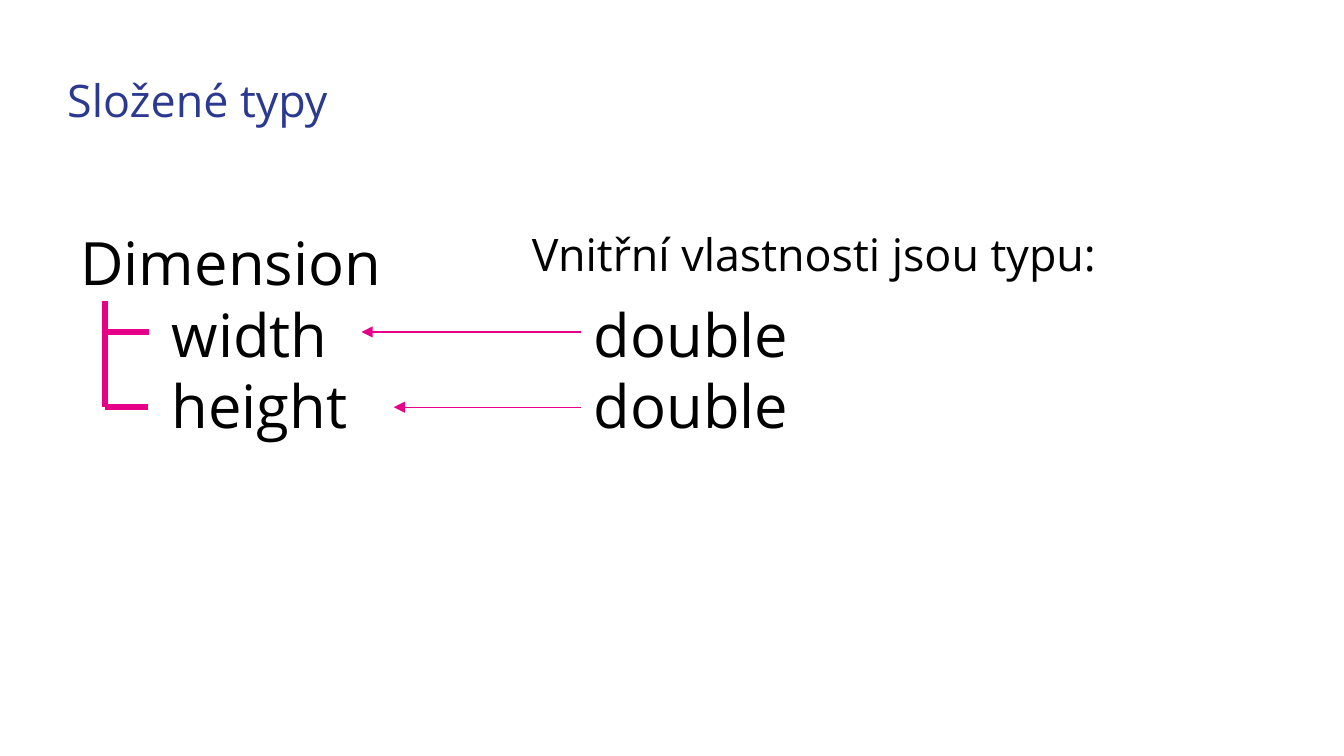
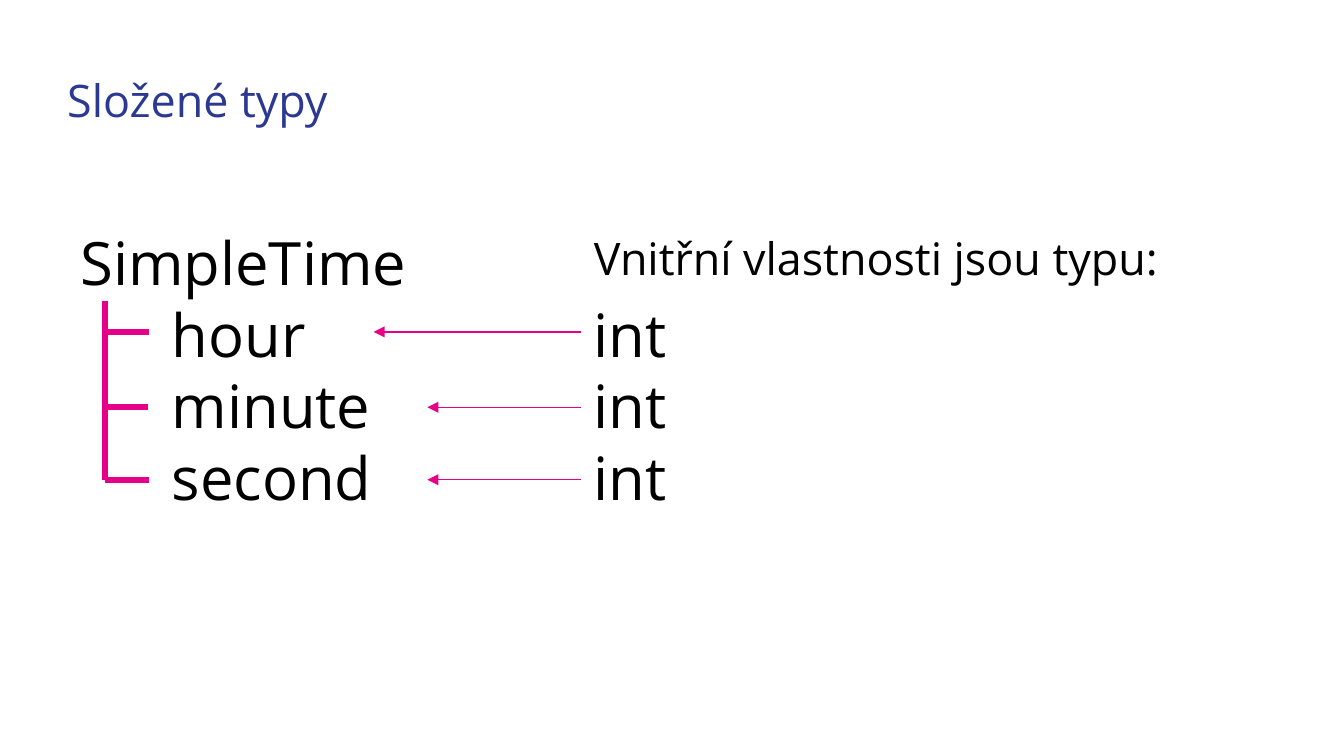
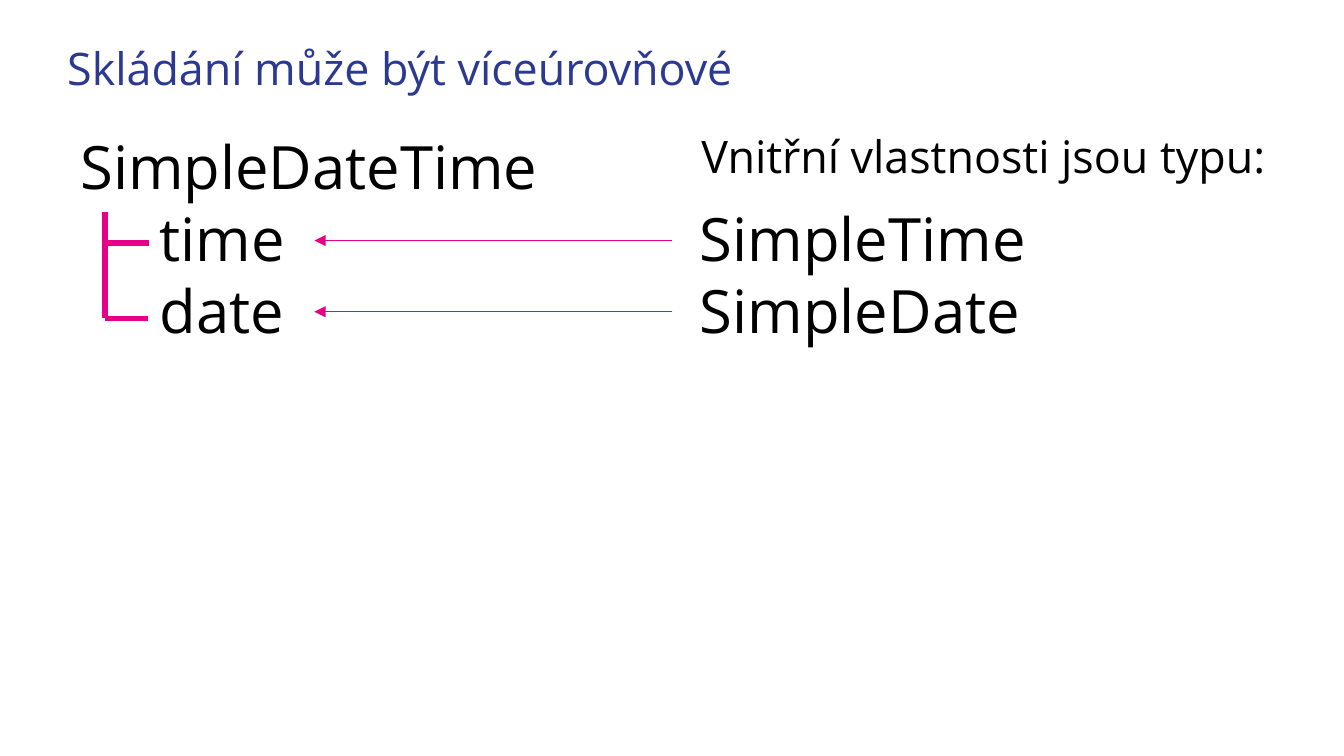
"""Build three slides that explain composite types and their inner properties."""
from lxml import etree
from pptx import Presentation
from pptx.dml.color import RGBColor
from pptx.enum.shapes import MSO_CONNECTOR
from pptx.enum.text import MSO_ANCHOR, MSO_AUTO_SIZE, PP_ALIGN
from pptx.oxml.ns import qn
from pptx.util import Inches, Pt

STRAIGHT = MSO_CONNECTOR.STRAIGHT
TOP = MSO_ANCHOR.TOP
NO_FIT = MSO_AUTO_SIZE.NONE
LEFT = PP_ALIGN.LEFT

FONT = "Open Sans"
BLUE, BLACK, PINK = "2B3990", "000000", "E60088"
CAPTION = "Vnitřní vlastnosti jsou typu:"
TRUNK_LEFT = 0.78
BRANCHES = [(0.23, 1.11), (0.79, 1.1), (1.33, 1.11)]

SLIDES = [
    {
        "title": "Složené typy", "title_top": 0.48,
        "type": "Dimension",
        "properties": [("width", "double"), ("height", "double")],
        "body": (0.5, 1.63, 6.2, 2.36), "tabs": (0.68, 3.82),
        "caption": (3.86, 1.64), "trunk_top": 2.24,
        "arrow_start": 4.32, "arrow_tips": [(2.69, 2.47), (2.93, 3.03)],
    },
    {
        "title": "Složené typy", "title_top": 0.48,
        "type": "SimpleTime",
        "properties": [("hour", "int"), ("minute", "int"), ("second", "int")],
        "body": (0.5, 1.63, 4.69, 2.36), "tabs": (0.68, 3.82),
        "caption": (4.32, 1.67), "trunk_top": 2.24,
        "arrow_start": 4.32,
        "arrow_tips": [(2.78, 2.47), (3.18, 3.03), (3.18, 3.57)],
    },
    {
        "title": "Skládání může být víceúrovňové", "title_top": 0.24,
        "type": "SimpleDateTime",
        "properties": [("time", "SimpleTime"), ("date", "SimpleDate")],
        "body": (0.5, 0.92, 7.5, 4.17), "tabs": (0.59, 4.61),
        "caption": (5.12, 0.91), "trunk_top": 1.58,
        "arrow_start": 5, "arrow_tips": [(2.34, 1.79), (2.34, 2.32)],
    },
]


def write_lines(box, lines, size, color, tabs=()):
    """Fill a text box with left-aligned paragraphs, one per line."""
    frame = box.text_frame
    frame.word_wrap = True
    frame.auto_size = NO_FIT
    frame.vertical_anchor = TOP
    for number, line in enumerate(lines):
        para = frame.add_paragraph() if number else frame.paragraphs[0]
        para.alignment = LEFT
        if tabs:
            stops = etree.SubElement(para._p.get_or_add_pPr(), qn("a:tabLst"))
            for tab in tabs:
                etree.SubElement(stops, qn("a:tab"), pos=str(Inches(tab)), algn="l")
        span = para.add_run()
        span.text = line
        span.font.name = FONT
        span.font.size = Pt(size)
        span.font.color.rgb = RGBColor.from_string(color)


def draw_line(shapes, start, end, width, arrow=False):
    """Draw a straight pink line, with an arrowhead at its end if asked."""
    points = [Inches(value) for value in (*start, *end)]
    line = shapes.add_connector(STRAIGHT, *points)
    line.line.width = Pt(width)
    line.line.color.rgb = RGBColor.from_string(PINK)
    if arrow:
        etree.SubElement(line.line._get_or_add_ln(), qn("a:tailEnd"), type="triangle")
    etree.SubElement(line._element.spPr, qn("a:effectLst"))


deck = Presentation()
deck.slide_width = Inches(10)
deck.slide_height = Inches(10) * 9 // 16

for content in SLIDES:
    page = deck.slides.add_slide(deck.slide_layouts[5])
    shapes = page.shapes

    title = shapes.title
    title.left, title.top = Inches(0.5), Inches(content["title_top"])
    title.width, title.height = Inches(9.01), Inches(0.51)
    write_lines(title, [content["title"]], 24, BLUE)
    title.text_frame.margin_left = title.text_frame.margin_top = 0
    title.text_frame.margin_right = title.text_frame.margin_bottom = Inches(0.1)
    title.text_frame.paragraphs[0].line_spacing = 1.15

    body = shapes.add_textbox(*[Inches(value) for value in content["body"]])
    rows = [f"\t{name}\t{kind}" for name, kind in content["properties"]]
    write_lines(body, [content["type"], *rows], 32, BLACK, content["tabs"])

    tree = shapes.add_group_shape()
    trunk_top = content["trunk_top"]
    branches = BRANCHES[:len(rows)]
    trunk_bottom = trunk_top + branches[-1][0]
    draw_line(tree.shapes, (TRUNK_LEFT, trunk_top), (TRUNK_LEFT, trunk_bottom), 3)
    for drop, right in branches:
        height = trunk_top + drop
        draw_line(tree.shapes, (TRUNK_LEFT, height), (right, height), 3)

    caption_left, caption_top = content["caption"]
    caption = shapes.add_textbox(
        Inches(caption_left), Inches(caption_top), Inches(5.19), Inches(0.51))
    write_lines(caption, [CAPTION], 24, BLACK)

    for tip, height in content["arrow_tips"]:
        draw_line(shapes, (content["arrow_start"], height), (tip, height), 0.75, arrow=True)

deck.save("out.pptx")
